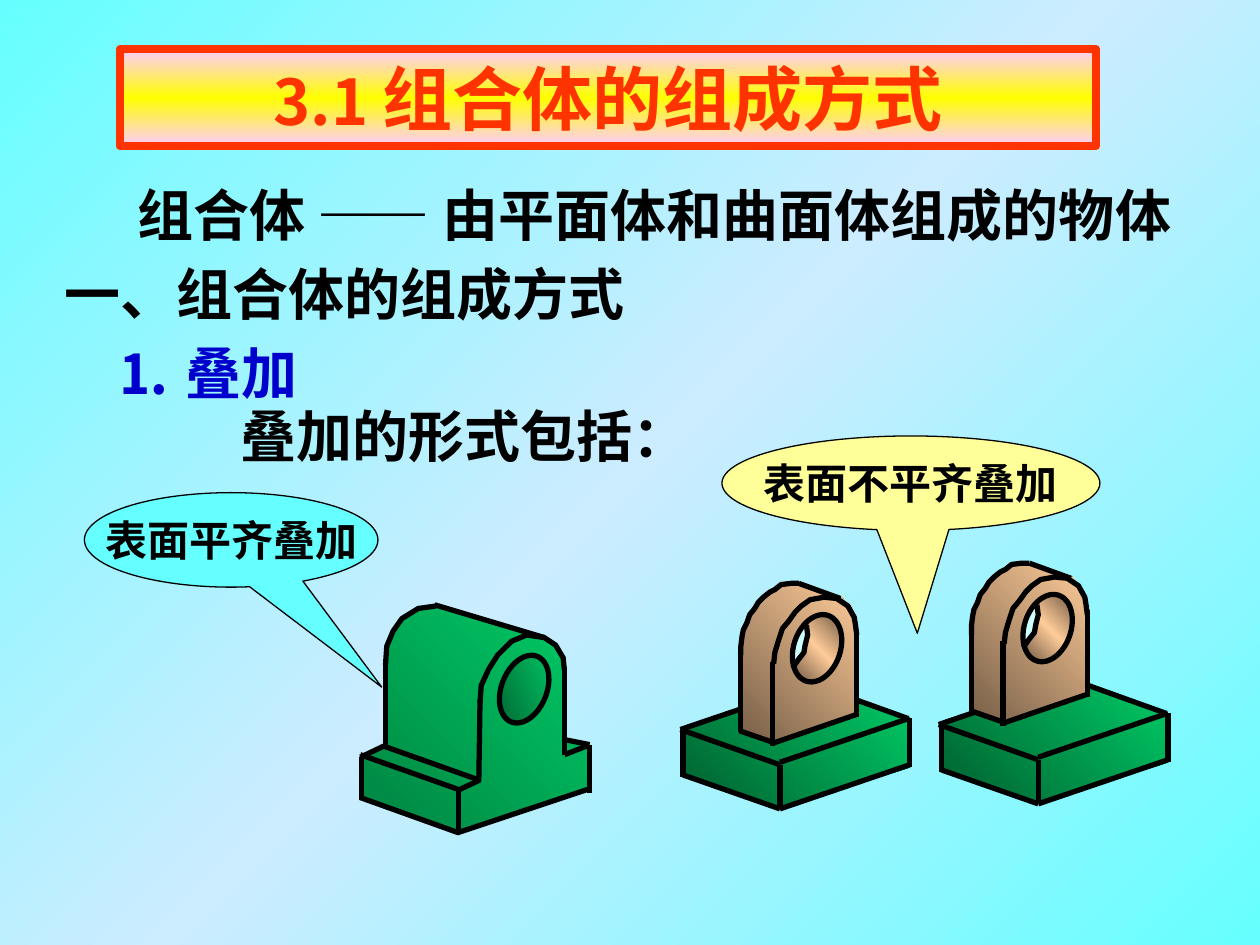
from lxml import etree
from pptx import Presentation, util as u
from pptx.dml.color import RGBColor
from pptx.enum import shapes, text
from pptx.oxml.ns import qn

SANS, SERIF = "Noto Sans CJK SC", "Times New Roman"
C = dict(cyan="66FFFF", ice="CCECFF", pink="FFCCFF", yellow="FFFF00", red="FF3300",
         black="000000", blue="0000CC", cream="FFFF99", pale="CCFFFF", pine="005E2F",
         forest="008442", green="00CC66", brown="765E47", tan="FFCC99")
UNIT = u.Inches(0.01)

TITLE = [("3.1 ", 36), ("组合体的组成方式", 40)]
LINES = [
    ("组合体 —— 由平面体和曲面体组成的物体", (99, 138, 842, 64), SERIF, "black", False, 10),
    ("一、组合体的组成方式", (41, 201, 465, 64), SANS, "black", False, 10),
    ("⒈ 叠加", (83, 264, 267, 64), SERIF, "blue", True, 10),
    ("叠加的形式包括：", (126, 314, 540, 64), SERIF, "black", True, 65),
]
CALLOUTS = [
    ("表面平齐叠加", (67, 391, 233, 75), "cyan", (0.513, 1.558)),
    ("表面不平齐叠加", (573, 346, 300, 75), "cream", (0.017, 1.588)),
]

BASE = [
    ("face", ["pine", "green"], [(542, 579), (542, 615), (619, 642), (722, 609), (722, 570), (648, 544)]),
    ("edge", [(540, 579), (643, 544)]),
    ("edge", [(720, 570), (642, 542)]),
    ("edge", [(619, 605), (722, 570)]),
    ("edge", [(619, 607), (540, 579)]),
    ("edge", [(542, 579), (542, 617)]),
    ("edge", [(542, 615), (619, 642)]),
    ("edge", [(619, 607), (619, 642)]),
    ("edge", [(722, 570), (722, 609)]),
    ("edge", [(722, 607), (619, 642)]),
]
BRACKET = [
    ("face", ["brown", "tan"], [
        (587, 581), (614, 589), (680, 567), (681, 501), (678, 489), (674, 482), (668, 474), (660, 473),
        (634, 463), (627, 464), (610, 470), (601, 478), (593, 489), (588, 503), (587, 511)]),
    ("edge", [(587, 580), (613, 589)]),
    ("edge", [(613, 590), (680, 567)]),
    ("edge", [(613, 592), (613, 525)]),
    ("edge", [(680, 569), (680, 500)]),
    ("edge", [(588, 581), (588, 517)]),
    ("edge", [(680, 504), (679, 496), (678, 490), (673, 481), (664, 475), (654, 474), (643, 476), (636, 481),
              (631, 486), (626, 493), (621, 499), (618, 508), (615, 518), (614, 527)]),
    ("edge", [(634, 463), (667, 475)]),
    ("edge", [(634, 463), (628, 463), (620, 464), (615, 468), (611, 470), (606, 474), (602, 478), (599, 483),
              (595, 488), (593, 494), (590, 500), (589, 505), (588, 513), (588, 520)]),
    ("face", ["pale"], [(640, 497), (642, 508), (639, 514), (638, 520), (634, 523), (630, 527), (629, 520),
                        (629, 513), (632, 508), (634, 502)]),
    ("face", ["brown", "tan", "brown"], [
        (639, 496), (642, 504), (640, 514), (637, 522), (632, 528), (632, 535), (639, 540), (648, 541), (659, 535),
        (666, 523), (668, 512), (667, 499), (663, 492), (658, 489), (649, 489), (643, 492)]),
    ("ring", [], (630, 487, 37, 55), 18.5),
    ("edge", [(640, 496), (641, 504), (639, 512), (638, 518), (634, 523), (629, 530)]),
]
FLUSH = [
    ("face", ["forest", "green"], [
        (289, 636), (364, 661), (467, 626), (466, 593), (448, 587), (449, 596), (447, 533), (445, 519), (439, 512),
        (430, 505), (422, 504), (342, 480), (331, 483), (324, 489), (315, 498), (310, 508), (307, 516), (305, 524),
        (304, 592), (288, 599)]),
    ("edge", [(286, 599), (365, 627)]),
    ("edge", [(287, 601), (287, 635)]),
    ("edge", [(286, 633), (364, 661)]),
    ("edge", [(364, 626), (364, 661)]),
    ("edge", [(286, 601), (307, 591)]),
    ("edge", [(304, 592), (380, 619)]),
    ("edge", [(364, 627), (381, 619)]),
    ("edge", [(448, 599), (466, 592)]),
    ("edge", [(468, 591), (468, 629)]),
    ("edge", [(468, 626), (363, 661)]),
    ("edge", [(448, 599), (448, 531)]),
    ("edge", [(345, 480), (432, 506)]),
    ("edge", [(306, 593), (306, 528)]),
    ("edge", [(468, 591), (448, 587)]),
    ("ring", ["pine", "green"], (398, 519, 36, 56), 21.6),
    ("edge", [(448, 532), (447, 522), (441, 512), (432, 506), (418, 504), (406, 509), (395, 520), (388, 531),
              (382, 544), (381, 558)]),
    ("edge", [(346, 481), (332, 483), (319, 491), (312, 501), (307, 513), (306, 528)]),
    ("edge", [(380, 620), (381, 555)]),
]
SOLIDS = [
    [(BASE, 0, 0), (BRACKET, 0, 0), (BASE, 205, -4), (BRACKET, 183, -16)],
    [(FLUSH, 0, 0)],
]


def rgb(name):
    return RGBColor.from_string(C[name])


def paint(fill, element, names, angle=45):
    if not names:
        fill.background()
    elif len(names) == 1:
        fill.solid()
        fill.fore_color.rgb = rgb(names[0])
    else:
        fill.gradient()
        fill.gradient_angle = angle
        stops = element.find(".//" + qn("a:gsLst"))
        for old in list(stops):
            stops.remove(old)
        for i, name in enumerate(names):
            gs = etree.SubElement(stops, qn("a:gs"), pos=str(100000 * i // (len(names) - 1)))
            etree.SubElement(gs, qn("a:srgbClr"), val=C[name])


def outline(sp, width, name="black"):
    sp.line.color.rgb = rgb(name)
    sp.line.width = u.Pt(width)


def box(bounds):
    return [v * UNIT for v in bounds]


def style(r, size, font, color):
    r.font.size, r.font.name, r.font.bold = u.Pt(size), font, True
    r.font.color.rgb = rgb(color)
    etree.SubElement(r.font._element, qn("a:ea"), typeface=SANS)


def draw(tree, part, dx, dy):
    kind = part[0]
    if kind == "ring":
        x, y, w, h = part[2]
        sp = tree.add_shape(shapes.MSO_SHAPE.OVAL, *box((x + dx, y + dy, w, h)))
        sp.rotation = part[3]
    else:
        pts = [(x + dx, y + dy) for x, y in part[-1]]
        if len(pts) == 2:
            sp = tree.add_connector(shapes.MSO_CONNECTOR.STRAIGHT, *box(pts[0] + pts[1]))
            outline(sp, 3)
            etree.SubElement(sp._element.spPr, qn("a:effectLst"))
            return
        fb = tree.build_freeform(*pts[0], scale=UNIT)
        fb.add_line_segments(pts[1:], close=kind == "face")
        sp = fb.convert_to_shape()
    paint(sp.fill, sp._element, [] if kind == "edge" else part[1])
    if kind == "face":
        sp.line.fill.background()
    else:
        outline(sp, 3)
    sp.shadow.inherit = False


def main():
    prs = Presentation()
    prs.slide_width, prs.slide_height = u.Inches(10), u.Inches(7.5)
    s = prs.slides.add_slide(prs.slide_layouts[5])
    paint(s.background.fill, s._element, ["cyan", "ice", "cyan"], 315)

    title = s.shapes.title
    title.left, title.top, title.width, title.height = box((95, 39, 775, 77))
    paint(title.fill, title._element, ["pink", "yellow", "pink"], 270)
    outline(title, 4.5, "red")
    title.text_frame.auto_size = text.MSO_AUTO_SIZE.NONE
    p = title.text_frame.paragraphs[0]
    p.alignment = text.PP_ALIGN.CENTER
    for words, size in TITLE:
        r = p.add_run()
        r.text = words
        style(r, size, SANS, "red")

    for words, bounds, font, color, wrap, inset in LINES:
        tf = s.shapes.add_textbox(*box(bounds)).text_frame
        tf.text = words
        tf.word_wrap = wrap
        tf.auto_size = text.MSO_AUTO_SIZE.SHAPE_TO_FIT_TEXT
        tf.margin_left = inset * UNIT
        style(tf.paragraphs[0].runs[0], 32, font, color)

    for words, bounds, color, tip in CALLOUTS:
        sp = s.shapes.add_shape(shapes.MSO_SHAPE.OVAL_CALLOUT, *box(bounds))
        sp.adjustments[0], sp.adjustments[1] = tip
        paint(sp.fill, sp._element, [color])
        outline(sp, 0.75)
        sp.shadow.inherit = False
        tf = sp.text_frame
        tf.text = words
        tf.word_wrap = False
        tf.vertical_anchor = text.MSO_ANCHOR.MIDDLE
        tf.paragraphs[0].alignment = text.PP_ALIGN.CENTER
        style(tf.paragraphs[0].runs[0], 24, SERIF, "black")

    for solid in SOLIDS:
        group = s.shapes.add_group_shape()
        for parts, dx, dy in solid:
            for part in parts:
                draw(group.shapes, part, dx, dy)

    prs.save("out.pptx")


if __name__ == "__main__":
    main()
